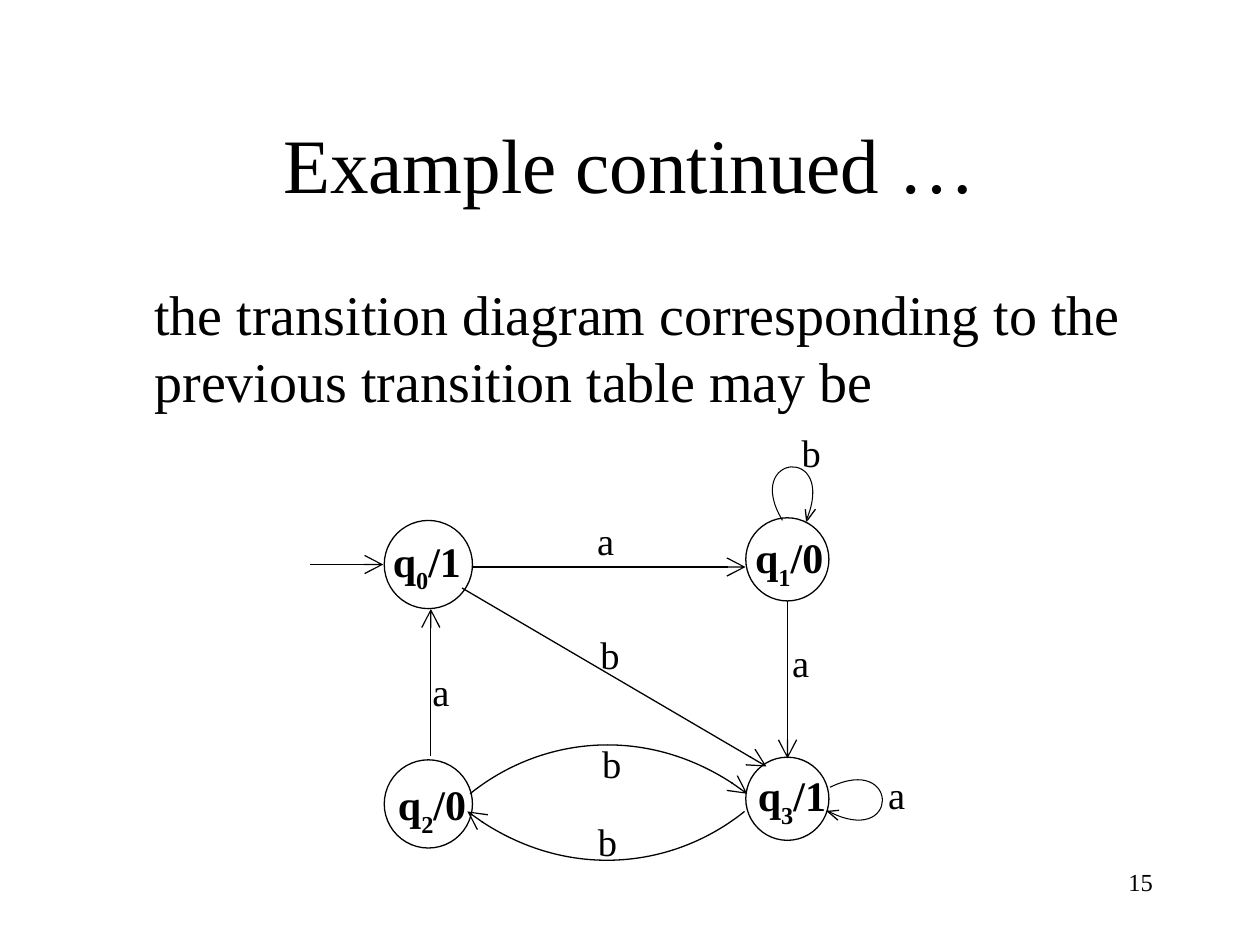
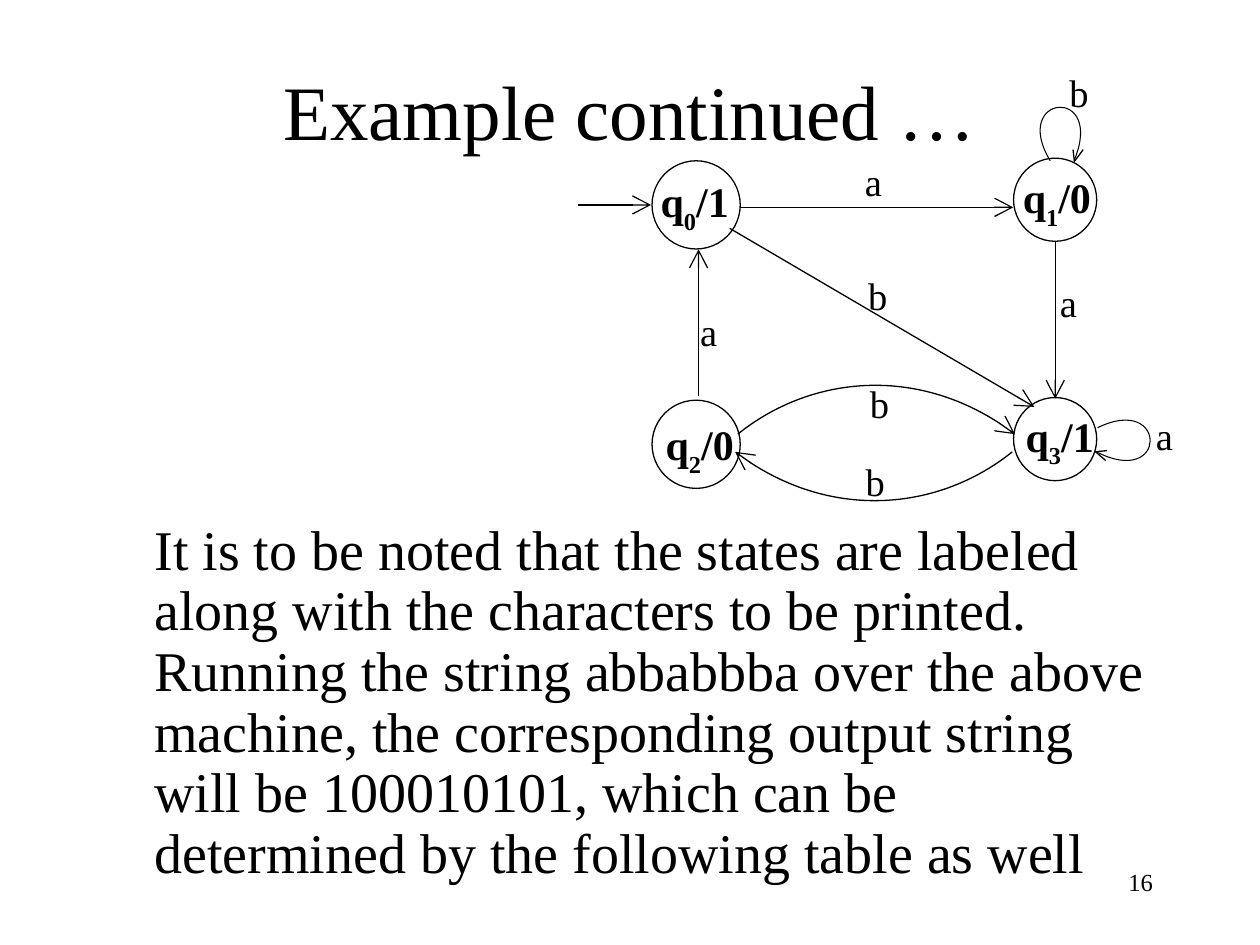
from pptx import Presentation
from pptx.dml.color import RGBColor
from pptx.enum.shapes import MSO_CONNECTOR, MSO_SHAPE
from pptx.enum.text import MSO_ANCHOR, MSO_AUTO_SIZE, PP_ALIGN
from pptx.oxml.ns import qn
from pptx.util import Pt
from lxml.etree import SubElement

BLACK = RGBColor(0x00, 0x00, 0x00)
WHITE = RGBColor(0xFF, 0xFF, 0xFF)
FONT = "Times New Roman"
LINE_WIDTH = 0.74
LOOP_WIDTH = 0.6

# State machine, in points: circle left, top, size; label left, top; output
STATES = [
    (219.6, 297.4, 50.4, 217.4, 302.4, "/1"),
    (426.2, 295.9, 47.5, 424.4, 300.2, "/0"),
    (219.6, 434.2, 50.4, 220.3, 441.4, "/0"),
    (426.2, 432.7, 47.5, 426, 436.3, "/1"),
]
STRAIGHT_ARROWS = [
    ((270, 324), (426, 324)),
    ((450, 343.4), (450, 433.4)),
    ((246.2, 432), (246.2, 348)),
    ((264, 336), (438, 438)),
    ((177.1, 322.6), (219, 322.6)),
]
CURVED_ARROWS = [
    ((425.5, 463.7), (385.2, 496.1), (319.7, 504), (267.1, 463.7)),
    ((268.6, 453.6), (308.9, 421.2), (374.4, 413.3), (427, 453.6)),
]
# One loop around its centre, then each use: centre, rotation, strokes of the tip
LOOP = ((-0.5, 22.8), (-26.8, -13.2), (27.3, -23), (13.1, 21.6))
LOOPS = [
    ((449.6, 274.7), 5,
     [((461.3, 297.4), (466, 291)), ((460.2, 291), (461, 298))]),
    ((496.4, 454.7), 100,
     [((473, 463.7), (478.8, 468.7)), ((479.5, 463), (472.5, 463.7))]),
]
INPUTS = [
    ("a", 334.1, 292), ("a", 445.5, 361.4), ("a", 240, 378),
    ("a", 500.4, 437.2), ("b", 451, 241.6), ("b", 336, 357.3),
    ("b", 337, 419.2), ("b", 334.6, 463.7),
]


class Deck:
    """Holds the style and the current slide."""

    def __init__(self):
        self.presentation = Presentation()
        self.presentation.slide_width = Pt(720)
        self.presentation.slide_height = Pt(540)
        self.slide = None

    def new_slide(self, number):
        layout = self.presentation.slide_layouts[1]
        self.slide = self.presentation.slides.add_slide(layout)
        self.slide.background.fill.solid()
        self.slide.background.fill.fore_color.rgb = WHITE
        self.text_box(516, 492, 150, 36, [(str(number), 0)], 14,
                      align=PP_ALIGN.RIGHT)

    def place(self, shape, left, top, width, height):
        shape.left, shape.top = Pt(left), Pt(top)
        shape.width, shape.height = Pt(width), Pt(height)
        shape.text_frame.word_wrap = True
        shape.text_frame.auto_size = MSO_AUTO_SIZE.NONE

    def add_run(self, paragraph, text, size, bold=False, baseline=0):
        run = paragraph.add_run()
        run.text = text
        run.font.name = FONT
        run.font.size = Pt(size)
        run.font.bold = bold
        run.font.color.rgb = BLACK
        if baseline:
            run.font._element.set("baseline", str(baseline))

    def title(self, text, top):
        shape = self.slide.shapes.title
        self.place(shape, 54, top, 612, 90)
        shape.text_frame.vertical_anchor = MSO_ANCHOR.MIDDLE
        paragraph = shape.text_frame.paragraphs[0]
        paragraph.alignment = PP_ALIGN.CENTER
        self.add_run(paragraph, text, 44)

    def body(self, text, top, height, margin_top=3.6, line_spacing=1.0):
        shape = self.slide.placeholders[1]
        self.place(shape, 54, top, 612, height)
        shape.text_frame.margin_top = Pt(margin_top)
        paragraph = shape.text_frame.paragraphs[0]
        paragraph.space_before = Pt(8)
        paragraph.line_spacing = line_spacing
        properties = paragraph._p.get_or_add_pPr()
        properties.set("marL", str(Pt(27)))
        properties.set("indent", "0")
        SubElement(properties, qn("a:buNone"))
        self.add_run(paragraph, text, 32)

    def text_box(self, left, top, width, height, parts, size,
                 bold=False, align=PP_ALIGN.LEFT):
        shape = self.slide.shapes.add_textbox(0, 0, 0, 0)
        self.place(shape, left, top, width, height)
        paragraph = shape.text_frame.paragraphs[0]
        paragraph.alignment = align
        for text, baseline in parts:
            self.add_run(paragraph, text, size, bold, baseline)

    def outline(self, shape, width=LINE_WIDTH, arrow=False):
        shape.line.color.rgb = BLACK
        shape.line.width = Pt(width)
        if arrow:
            line = shape._element.spPr.find(qn("a:ln"))
            SubElement(line, qn("a:tailEnd"), type="arrow", w="lg", len="lg")

    def circle(self, left, top, size):
        shape = self.slide.shapes.add_shape(
            MSO_SHAPE.OVAL, Pt(left), Pt(top), Pt(size), Pt(size))
        shape.shadow.inherit = False
        shape.fill.solid()
        shape.fill.fore_color.rgb = WHITE
        self.outline(shape)

    def straight_arrow(self, start, end):
        connector = self.slide.shapes.add_connector(
            MSO_CONNECTOR.STRAIGHT, *map(Pt, start + end))
        self.outline(connector, arrow=True)
        SubElement(connector._element.spPr, qn("a:effectLst"))

    def stroke(self, points, width=LINE_WIDTH, arrow=False):
        points = [(Pt(x), Pt(y)) for x, y in points]
        builder = self.slide.shapes.build_freeform(*points[0])
        builder.add_line_segments(points[1:], close=False)
        shape = builder.convert_to_shape()
        shape.shadow.inherit = False
        shape.fill.background()
        self.outline(shape, width, arrow)
        return shape

    def curve(self, controls, width=LINE_WIDTH, arrow=False, rotation=0):
        shape = self.stroke(controls, width, arrow)
        shape.rotation = rotation
        # Join the three line segments into one cubic curve
        outline = shape._element.spPr.find(".//" + qn("a:pathLst"))[0]
        segments = outline.findall(qn("a:lnTo"))
        cubic = SubElement(outline, qn("a:cubicBezTo"))
        for segment in segments:
            cubic.append(segment[0])
            outline.remove(segment)

    def state_machine(self, right=0, down=0):
        def shift(points):
            return [(x + right, y + down) for x, y in points]

        # States
        for index, (left, top, size, text_left, text_top, output) in enumerate(STATES):
            self.circle(left + right, top + down, size)
            self.text_box(text_left + right, text_top + down, 69, 33,
                          [("q", 0), (str(index), -30000), (output, 0)], 24, bold=True)
        # Transitions
        for controls in CURVED_ARROWS:
            self.curve(shift(controls), arrow=True)
        for (center_x, center_y), rotation, tip in LOOPS:
            controls = [(center_x + x, center_y + y) for x, y in LOOP]
            self.curve(shift(controls), LOOP_WIDTH, rotation=rotation)
            for points in tip:
                self.stroke(shift(points))
        for points in STRAIGHT_ARROWS:
            self.straight_arrow(*shift(points))
        # Input letters
        for letter, left, top in INPUTS:
            self.text_box(left + right, top + down, 72.7, 29.5, [(letter, 0)], 22)


deck = Deck()

# Slide 15: transition diagram
deck.new_slide(15)
deck.title("Example continued …", 48)
deck.body("the transition diagram corresponding to the previous transition "
          "table may be", 156, 324)
deck.state_machine()

# Slide 16: diagram above the explanation
deck.new_slide(16)
deck.title("Example continued …", 17.8)
deck.body("It is to be noted that the states are labeled along with the "
          "characters to be printed. Running the string abbabbba over the "
          "above machine, the corresponding output string will be 100010101, "
          "which can be determined by the following table as well",
          78, 444, margin_top=220.3, line_spacing=0.9)
deck.state_machine(right=153, down=-205.5)

deck.presentation.save("out.pptx")
